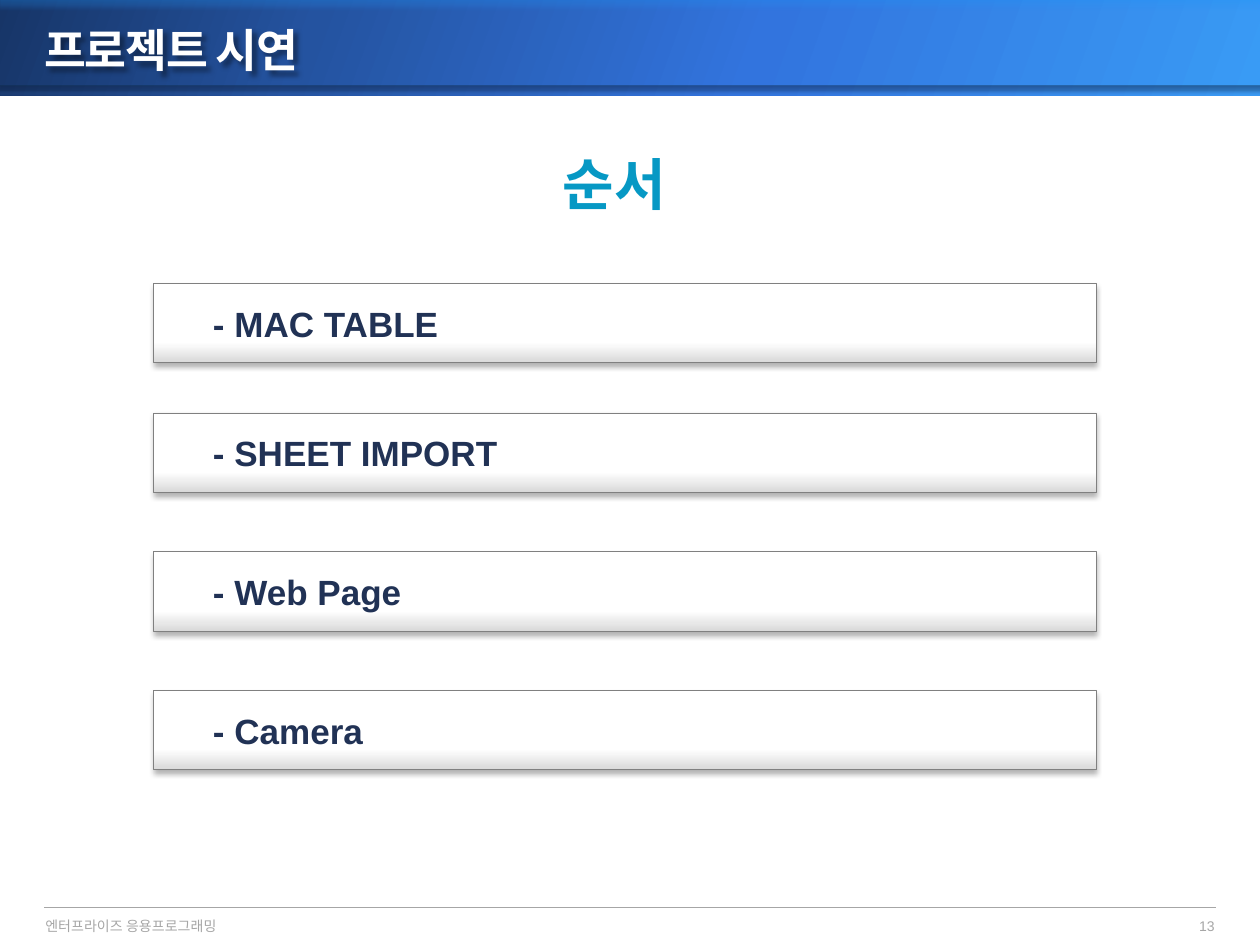
from dataclasses import dataclass

from pptx import Presentation
from pptx.dml.color import RGBColor
from pptx.enum.shapes import MSO_CONNECTOR as Connector, MSO_SHAPE as Shape
from pptx.enum.text import MSO_ANCHOR as Anchor, PP_ALIGN as Align
from pptx.oxml import parse_xml
from pptx.oxml.ns import nsdecls, qn
from pptx.slide import Slide
from pptx.util import Inches, Pt

WHITE = RGBColor(0xFF, 0xFF, 0xFF)
GRAY = RGBColor(0xA6, 0xA6, 0xA6)
BORDER = RGBColor(0x80, 0x80, 0x80)
NAVY = RGBColor(0x21, 0x32, 0x55)
TEAL = RGBColor(0x06, 0x98, 0xC4)
SILVER = RGBColor(0xD9, 0xD9, 0xD9)
BANNER = [(0, RGBColor(0x39, 0x9B, 0xF5), 100), (40, RGBColor(0x32, 0x74, 0xDE), 100),
          (75, RGBColor(0x24, 0x53, 0xA0), 100), (100, RGBColor(0x17, 0x35, 0x67), 100)]
SHADE = [(0, RGBColor(0x58, 0x89, 0xD9), 0), (50, RGBColor(0x10, 0x23, 0x44), 30),
         (100, RGBColor(0x10, 0x23, 0x44), 50)]
GLOW = [(0, RGBColor(0x24, 0x87, 0xF4), 0), (50, RGBColor(0x25, 0x93, 0xF7), 20),
        (100, RGBColor(0x19, 0x93, 0xF7), 30)]
PANEL = [(0, WHITE, 100), (74, WHITE, 100), (100, SILVER, 100)]
ITEMS = [("- MAC TABLE", 2.25), ("- SHEET IMPORT", 3.28), ("- Web Page", 4.38), ("- Camera", 5.48)]


def cast_shadow(shape, blur, distance, angle, opacity):
    """Give a shape one black outer shadow."""
    shape.shadow.inherit = False
    shape._element.spPr.find(qn("a:effectLst")).append(parse_xml(
        f'<a:outerShdw {nsdecls("a")} blurRad="{Pt(blur)}" dist="{Pt(distance)}" '
        f'dir="{angle * 60000}" algn="tl" rotWithShape="0"><a:srgbClr val="000000">'
        f'<a:alpha val="{opacity * 1000}"/></a:srgbClr></a:outerShdw>'))


def write(shape, text, size, color, bold=False, align=Align.LEFT, anchor=Anchor.MIDDLE,
          insets=(0, 0, 0, 0), wrap=True, spacing=0, font="Arial"):
    """Put one formatted span of text in a shape."""
    frame = shape.text_frame
    frame.word_wrap = wrap
    frame.vertical_anchor = anchor
    frame.margin_left, frame.margin_top, frame.margin_right, frame.margin_bottom = map(Inches, insets)
    para = frame.paragraphs[0]
    para.alignment = align
    span = para.add_run()
    span.text = text
    span.font.name, span.font.size, span.font.bold = font, Pt(size), bold
    span.font.color.rgb = color
    if spacing:
        span._r.get_or_add_rPr().set("spc", str(spacing))


@dataclass
class Painter:
    """Draws elements of the deck's style on the current page."""
    page: Slide

    def text(self, text, left, top, width, height, **style):
        """Add a text box."""
        box = self.page.shapes.add_textbox(*map(Inches, (left, top, width, height)))
        write(box, text, **style)
        return box

    def title(self, text):
        """Add the banner title with its shadow."""
        box = self.text(text, 0.35, 0.15, 8.5, 0.48, size=26, color=WHITE, bold=True, spacing=-70)
        cast_shadow(box, 3, 3, 45, 40)

    def rule(self, left, right, top):
        """Add a thin horizontal line."""
        line = self.page.shapes.add_connector(
            Connector.STRAIGHT, *map(Inches, (left, top, right, top)))
        line.line.color.rgb = GRAY
        line.line.width = Pt(0.25)
        line._element.spPr.append(parse_xml(f'<a:effectLst {nsdecls("a")}/>'))

    def band(self, left, top, width, height, stops, angle=90, rotation=0):
        """Add a borderless rectangle with a linear gradient."""
        band = self.page.shapes.add_shape(
            Shape.RECTANGLE, *map(Inches, (left, top, width, height)))
        band.rotation = rotation
        band.shadow.inherit = False
        band.line.fill.background()
        marks = "".join(
            f'<a:gs pos="{place * 1000}"><a:srgbClr val="{color}">'
            f'<a:alpha val="{opacity * 1000}"/></a:srgbClr></a:gs>'
            for place, color, opacity in stops)
        band._element.spPr.insert(2, parse_xml(
            f'<a:gradFill {nsdecls("a")} rotWithShape="1"><a:gsLst>{marks}</a:gsLst>'
            f'<a:lin ang="{angle * 60000}" scaled="0"/></a:gradFill>'))
        return band

    def item(self, text, top):
        """Add a bordered, shadowed agenda panel."""
        panel = self.band(1.22, top, 7.48, 0.63, PANEL)
        panel.line.color.rgb = BORDER
        panel.line.width = Pt(0.5)
        cast_shadow(panel, 3, 2, 90, 30)
        write(panel, text, size=20, color=NAVY, bold=True, insets=(0.47, 0, 0, 0))


def main():
    """Build the agenda page."""
    deck = Presentation()
    deck.slide_width, deck.slide_height = Inches(10), Inches(7.5)
    painter = Painter(deck.slides.add_slide(deck.slide_layouts[6]))
    painter.rule(0.35, 9.65, 7.2)
    painter.text("엔터프라이즈 응용프로그래밍", 0.36, 7.28, 1.52, 0.13, size=8, color=GRAY,
                 anchor=Anchor.TOP, wrap=False)
    painter.text("13", 8.36, 7.25, 1.28, 0.2, size=8, color=GRAY, align=Align.RIGHT)
    painter.band(0, 0, 10, 0.76, BANNER, angle=200)
    painter.band(0, 0.68, 10, 0.08, SHADE, rotation=180)
    painter.band(0, 0, 10, 0.08, GLOW, rotation=180)
    painter.title("프로젝트 시연")
    painter.text("순서", 4.37, 1.14, 1.1, 0.64, size=32, color=TEAL, bold=True,
                 anchor=Anchor.TOP, insets=(0.1, 0.05, 0.1, 0.05), wrap=False)
    for text, top in ITEMS:
        painter.item(text, top)
    deck.save("out.pptx")


if __name__ == "__main__":
    main()
